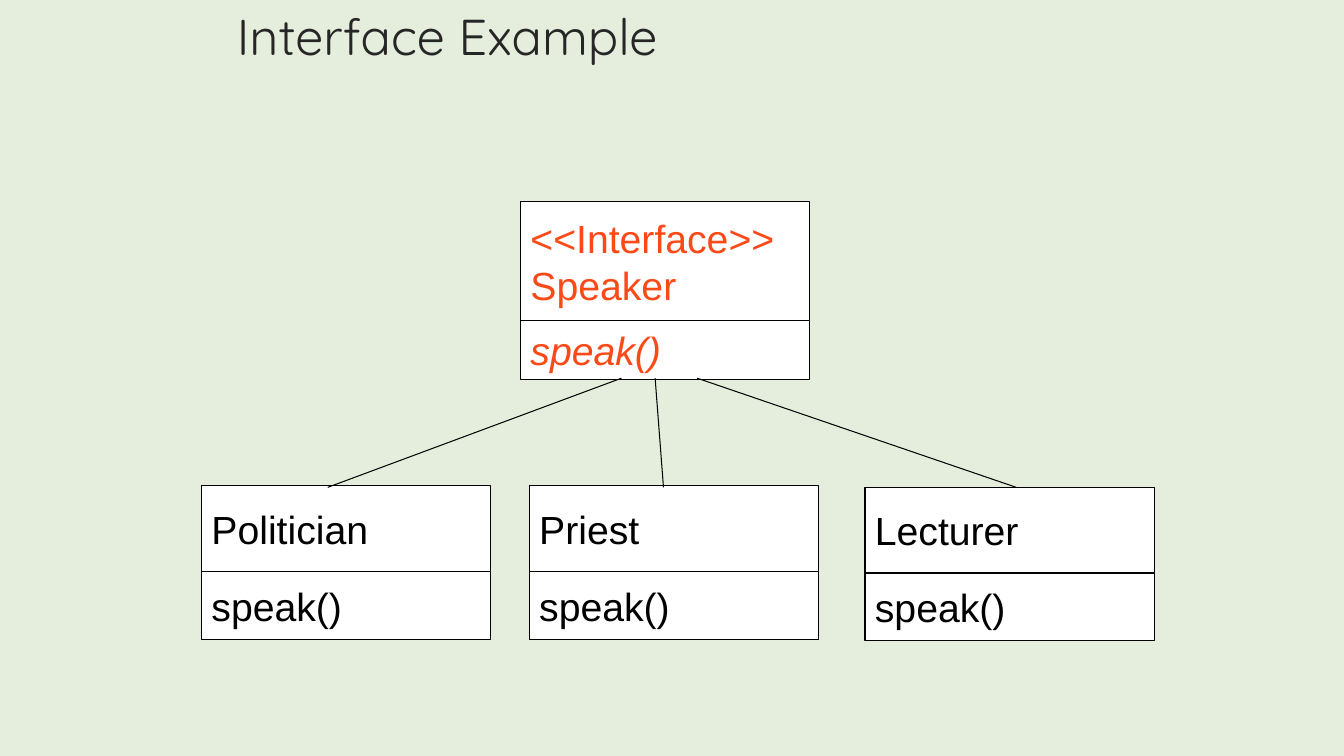
"""Build a slide with a class diagram of an interface and its implementers."""
from dataclasses import dataclass

from lxml import etree
from pptx import Presentation
from pptx.dml.color import RGBColor
from pptx.enum.shapes import MSO_CONNECTOR, MSO_SHAPE
from pptx.enum.text import MSO_ANCHOR, PP_ALIGN
from pptx.oxml.ns import qn
from pptx.util import Cm, Pt

RECTANGLE = MSO_SHAPE.RECTANGLE
STRAIGHT = MSO_CONNECTOR.STRAIGHT
TOP, MIDDLE = MSO_ANCHOR.TOP, MSO_ANCHOR.MIDDLE
LEFT = PP_ALIGN.LEFT


@dataclass(frozen=True)
class Theme:
    """Colours, fonts and sizes of the slide."""
    background: RGBColor = RGBColor(0xE5, 0xEE, 0xDC)
    heading: RGBColor = RGBColor(0x26, 0x26, 0x26)
    box: RGBColor = RGBColor(0xFF, 0xFF, 0xFF)
    ink: RGBColor = RGBColor(0x00, 0x00, 0x00)
    accent: RGBColor = RGBColor(0xFB, 0x4A, 0x18)
    heading_font: str = "Quicksand"
    body_font: str = "Arial"
    heading_size: Pt = Pt(36)
    body_size: Pt = Pt(28)
    line_width: Pt = Pt(0.75)


THEME = Theme()
CLASS_WIDTH = 7.29


def write(frame, text, font_name, size, color, anchor, italic=False):
    """Fill a text frame with left-aligned text in one style."""
    frame.text = text
    frame.word_wrap = True
    frame.vertical_anchor = anchor
    frame.margin_left = frame.margin_right = Cm(0.25)
    frame.margin_top = frame.margin_bottom = Cm(0.13)
    for paragraph in frame.paragraphs:
        paragraph.alignment = LEFT
        for run in paragraph.runs:
            run.font.name = font_name
            run.font.size = size
            run.font.color.rgb = color
            run.font.bold = False
            run.font.italic = italic


def set_title(slide, text):
    """Place and format the title placeholder."""
    title = slide.shapes.title
    title.left, title.top = Cm(5.72), Cm(0)
    title.width, title.height = Cm(22.86), Cm(2.41)
    write(title.text_frame, text, THEME.heading_font, THEME.heading_size,
          THEME.heading, TOP)


def add_compartment(slide, text, left, top, height, color, italic=False):
    """Draw one outlined compartment of a class."""
    compartment = slide.shapes.add_shape(
        RECTANGLE, Cm(left), Cm(top), Cm(CLASS_WIDTH), Cm(height))
    compartment.shadow.inherit = False
    compartment.fill.solid()
    compartment.fill.fore_color.rgb = THEME.box
    compartment.line.color.rgb = THEME.ink
    compartment.line.width = THEME.line_width
    write(compartment.text_frame, text, THEME.body_font, THEME.body_size,
          color, MIDDLE, italic)


def add_class(slide, name, left, top, name_height, operation_height,
              color=THEME.ink, abstract=False):
    """Stack a name compartment on its operation compartment."""
    add_compartment(slide, name, left, top, name_height, color)
    add_compartment(slide, "speak()", left, top + name_height,
                    operation_height, color, abstract)


def add_link(slide, start_x, start_y, end_x, end_y):
    """Draw a thin line between the interface and an implementer."""
    link = slide.shapes.add_connector(
        STRAIGHT, Cm(start_x), Cm(start_y), Cm(end_x), Cm(end_y))
    link.line.color.rgb = THEME.ink
    link.line.width = THEME.line_width
    etree.SubElement(link._element.spPr, qn("a:effectLst"))


def main():
    """Build and save the slide."""
    deck = Presentation()
    deck.slide_width, deck.slide_height = Cm(33.87), Cm(19.05)
    slide = deck.slides.add_slide(deck.slide_layouts[5])
    slide.background.fill.solid()
    slide.background.fill.fore_color.rgb = THEME.background

    set_title(slide, "Interface Example")
    add_class(slide, "<<Interface>>\nSpeaker", 13.12, 5.08, 2.99, 1.5,
              THEME.accent, abstract=True)

    implementers = [
        ("Politician", 5.08, 12.24, 15.66, 8.26),
        ("Priest", 13.34, 12.24, 16.51, 16.72),
        ("Lecturer", 21.8, 12.28, 17.57, 25.61),
    ]
    for name, left, top, start_x, end_x in implementers:
        add_class(slide, name, left, top, 2.16, 1.71)
        add_link(slide, start_x, 9.53, end_x, 12.28)

    deck.save("out.pptx")


if __name__ == "__main__":
    main()
